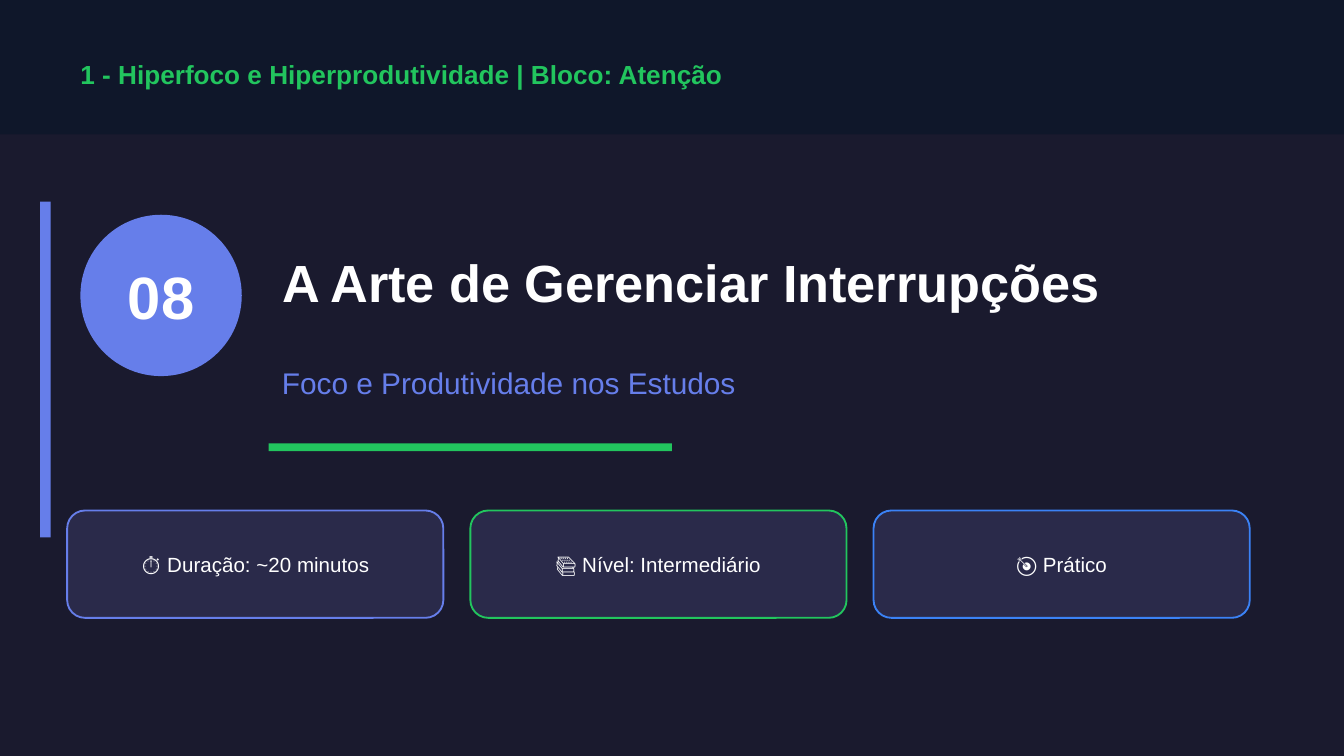
"""Build the opening slide of lesson 08, on managing interruptions."""
from dataclasses import dataclass

from pptx import Presentation
from pptx.dml.color import RGBColor
from pptx.enum.shapes import MSO_SHAPE
from pptx.enum.text import MSO_ANCHOR, MSO_AUTO_SIZE, PP_ALIGN
from pptx.util import Cm, Pt

RECTANGLE, OVAL, ROUNDED = MSO_SHAPE.RECTANGLE, MSO_SHAPE.OVAL, MSO_SHAPE.ROUNDED_RECTANGLE
LEFT, CENTER = PP_ALIGN.LEFT, PP_ALIGN.CENTER
MIDDLE, NO_AUTOFIT = MSO_ANCHOR.MIDDLE, MSO_AUTO_SIZE.NONE


@dataclass(frozen=True)
class Theme:
    font: str = "Arial"
    background: str = "1A1A2E"
    header: str = "0F172A"
    card: str = "2A2A4A"
    indigo: str = "667EEA"
    green: str = "22C55E"
    blue: str = "3B82F6"
    white: str = "FFFFFF"
    number_size: int = 32
    title_size: int = 28
    subtitle_size: int = 16
    header_size: int = 14
    card_size: int = 11


THEME = Theme()

MODULE = "1 - Hiperfoco e Hiperprodutividade | Bloco: Atenção"
NUMBER = "08"
TITLE = "A Arte de Gerenciar Interrupções"
SUBTITLE = "Foco e Produtividade nos Estudos"
CARDS = [
    ("⏱ Duração: ~20 minutos", THEME.indigo),
    ("📚 Nível: Intermediário", THEME.green),
    ("🎯 Prático", THEME.blue),
]

SLIDE_WIDTH, SLIDE_HEIGHT = 25.4, 14.29
TEXT_LEFT, TEXT_WIDTH = 5.08, 19.05
CARD_LEFT, CARD_TOP, CARD_WIDTH, CARD_HEIGHT, CARD_GAP = 1.27, 9.65, 7.11, 2.03, 0.51


def color(value):
    return RGBColor.from_string(value)


def write(shape, text, *, size, color_value=THEME.white, bold=False, align=LEFT):
    frame = shape.text_frame
    frame.word_wrap = True
    frame.auto_size = NO_AUTOFIT
    frame.vertical_anchor = MIDDLE
    paragraph = frame.paragraphs[0]
    paragraph.alignment = align
    run = paragraph.add_run()
    run.text = text
    run.font.name = THEME.font
    run.font.size = Pt(size)
    run.font.bold = bold
    run.font.color.rgb = color(color_value)


def add_shape(slide, kind, box, fill, line=None):
    shape = slide.shapes.add_shape(kind, *map(Cm, box))
    shape.shadow.inherit = False
    shape.fill.solid()
    shape.fill.fore_color.rgb = color(fill)
    if line:
        shape.line.color.rgb = color(line)
        shape.line.width = Pt(1)
    else:
        shape.line.fill.background()
    return shape


def add_text(slide, box, text, **text_format):
    write(slide.shapes.add_textbox(*map(Cm, box)), text, **text_format)


def add_title(slide, box, text, **text_format):
    title = slide.shapes.title
    title.left, title.top, title.width, title.height = map(Cm, box)
    write(title, text, **text_format)


def add_cards(slide):
    for index, (label, accent) in enumerate(CARDS):
        left = CARD_LEFT + index * (CARD_WIDTH + CARD_GAP)
        box = (left, CARD_TOP, CARD_WIDTH, CARD_HEIGHT)
        card = add_shape(slide, ROUNDED, box, THEME.card, accent)
        write(card, label, size=THEME.card_size, align=CENTER)


def main():
    presentation = Presentation()
    presentation.slide_width = Cm(SLIDE_WIDTH)
    presentation.slide_height = Cm(SLIDE_HEIGHT)
    slide = presentation.slides.add_slide(presentation.slide_layouts[5])
    slide.background.fill.solid()
    slide.background.fill.fore_color.rgb = color(THEME.background)

    add_shape(slide, RECTANGLE, (0, 0, SLIDE_WIDTH, 2.54), THEME.header)
    add_text(slide, (1.27, 0.89, 22.86, 1.02), MODULE,
             size=THEME.header_size, color_value=THEME.green, bold=True)

    add_shape(slide, RECTANGLE, (0.76, 3.81, 0.2, 6.35), THEME.indigo)
    badge = add_shape(slide, OVAL, (1.52, 4.06, 3.05, 3.05), THEME.indigo)
    write(badge, NUMBER, size=THEME.number_size, bold=True, align=CENTER)

    add_title(slide, (TEXT_LEFT, 4.06, TEXT_WIDTH, 2.54), TITLE,
              size=THEME.title_size, bold=True)
    add_text(slide, (TEXT_LEFT, 6.6, TEXT_WIDTH, 1.27), SUBTITLE,
             size=THEME.subtitle_size, color_value=THEME.indigo)
    add_shape(slide, RECTANGLE, (TEXT_LEFT, 8.38, 7.62, 0.15), THEME.green)

    add_cards(slide)
    presentation.save("out.pptx")


if __name__ == "__main__":
    main()
